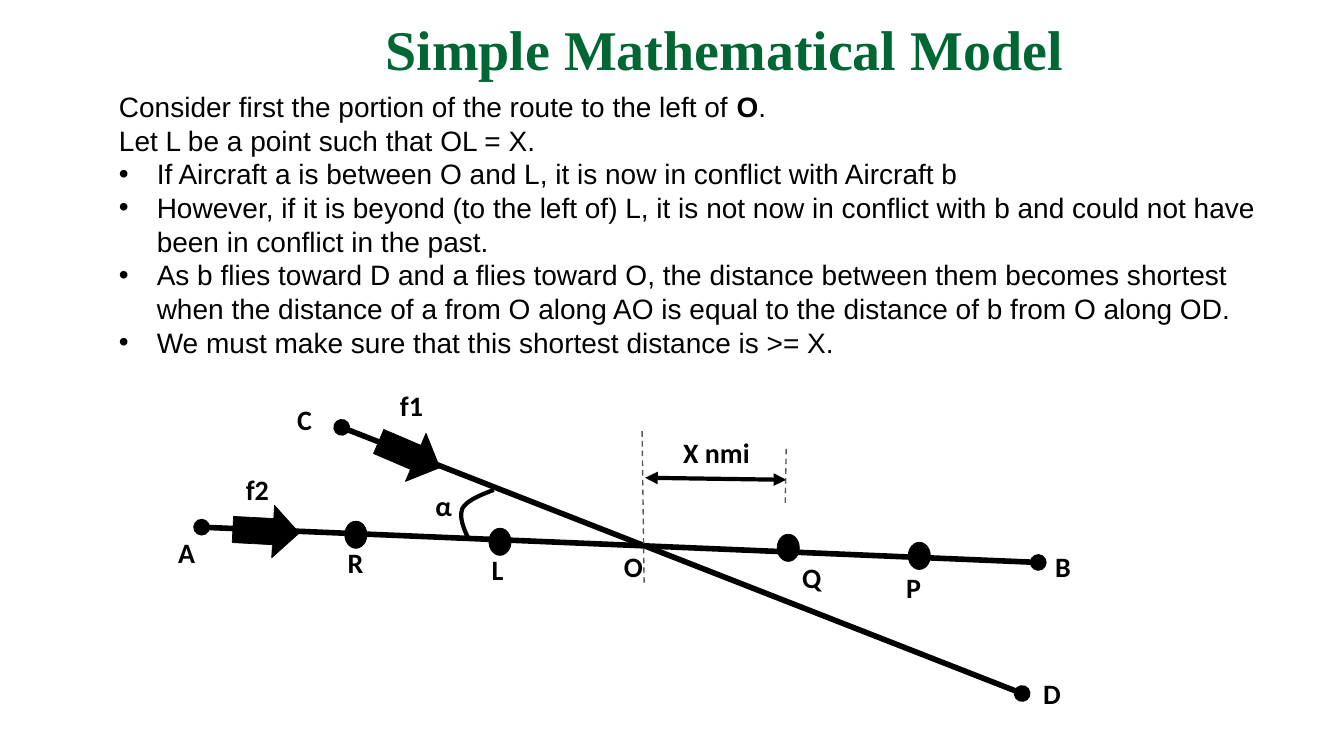
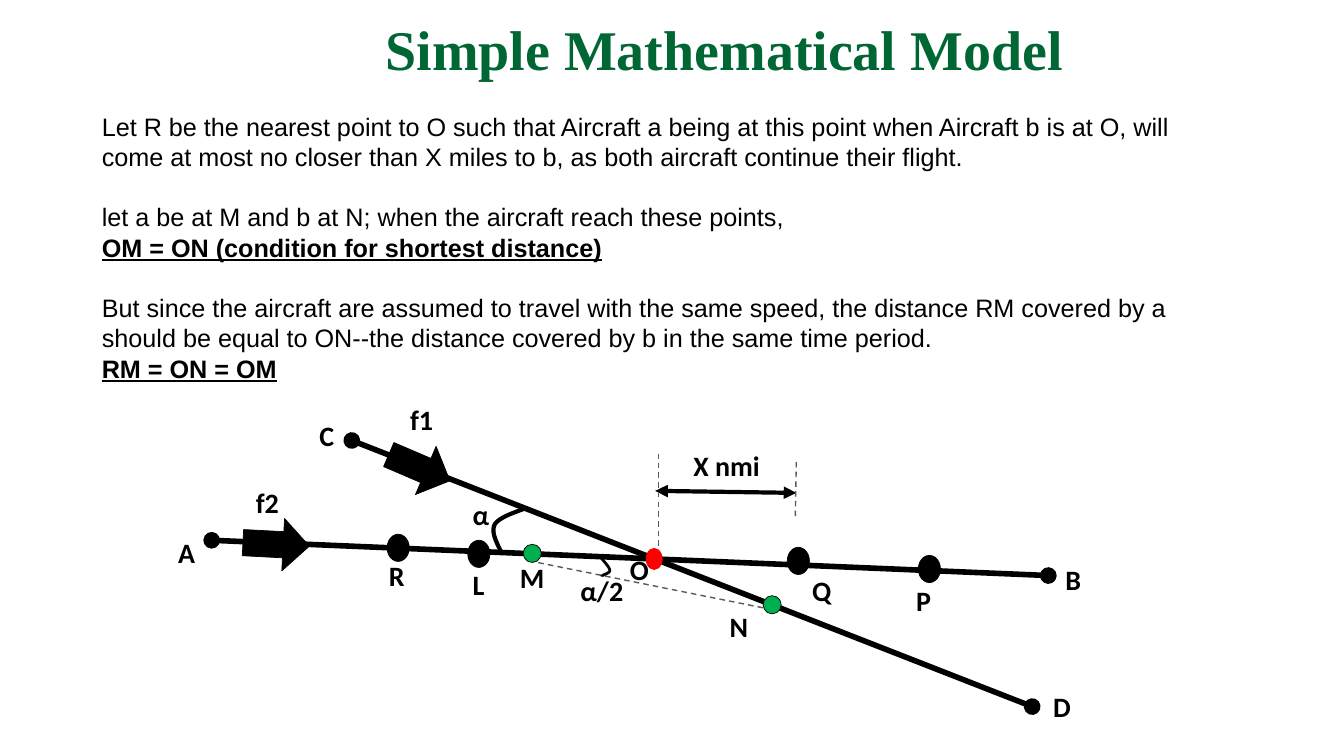
from dataclasses import dataclass
from typing import NamedTuple

from lxml.etree import SubElement
from pptx import Presentation
from pptx.dml.color import RGBColor
from pptx.enum.dml import MSO_LINE_DASH_STYLE as Dash
from pptx.enum.shapes import MSO_CONNECTOR as Connector, MSO_SHAPE as Shape
from pptx.enum.text import MSO_ANCHOR as Anchor, MSO_AUTO_SIZE as AutoSize, PP_ALIGN as Align
from pptx.oxml.ns import qn
from pptx.util import Inches, Pt

# Grid: every length is in cells of a tenth of an inch
CELL = Inches(0.1)
COLUMNS, ROWS = 133.33, 75

BLACK, GREY, TITLE_GREEN = "000000", "595959", "006633"
RED, POINT_GREEN = "FF0000", "00B050"
TITLE_FONT, BODY_FONT, LABEL_FONT = "Times New Roman", "Arial", "Calibri"


class Point(NamedTuple):
    x: float
    y: float


class Frame(NamedTuple):
    left: float
    top: float
    width: float
    height: float


class Label(NamedTuple):
    text: str
    left: float
    top: float
    width: float = 4.3


class Dot(NamedTuple):
    x: float
    y: float
    width: float = 2.2
    height: float = 2.7
    fill: str = BLACK
    line: str = BLACK


class Segment(NamedTuple):
    start: Point
    end: Point
    width: float = 1
    color: str = GREY
    ends: str = ""


class Curve(NamedTuple):
    points: list[Point]  # a start, then three points for each Bezier piece
    width: float = 3


class Arrow(NamedTuple):
    frame: Frame
    rotation: float


@dataclass
class Line:
    spans: tuple[str, ...]  # every second span is bold
    bullet: bool = False
    strong: bool = False
    gap: bool = False


@dataclass
class Page:
    body: Frame
    size: int
    lines: list[Line]
    shift: Point  # moves the shared part of the diagram
    dots: list[Dot]
    segments: list[Segment]
    curves: list[Curve]
    labels: list[Label]


TITLE = "Simple Mathematical Model"
TITLE_FRAME = Frame(29.6, 0.9, 84.5, 7.7)

# Shared part of the diagram
ROUTES = [
    Segment(Point(33.9, 42.4), Point(101.4, 68.8), 4, BLACK, "oval"),
    Segment(Point(20, 52.3), Point(103, 55.8), 4, BLACK, "oval"),
    Segment(Point(64, 47.4), Point(78, 47.6), 3, BLACK, "triangle"),
    Segment(Point(77.9, 49.9), Point(78, 44.3)),
]
ROUTE_DOTS = [Dot(78.2, 54.35), Dot(91.2, 55.15)]
FLIGHTS = [Arrow(Frame(38, 41.8, 5.2, 6.6), 293.2), Arrow(Frame(23.8, 49.4, 5.2, 6.6), 273)]
ROUTE_LABELS = [
    Label("X nmi", 66.8, 42.7, 9), Label("Q", 78.6, 55.1), Label("P", 88.9, 56.1),
    Label("B", 103.7, 54), Label("D", 102.5, 66.6),
    Label("f1", 38.7, 38.1), Label("f2", 23.4, 46.4),
]

PAGES = [
    Page(
        body=Frame(10.8, 8.4, 116.7, 27.9),
        size=20,
        lines=[
            Line(("Consider first the portion of the route to the left of ", "O", ".")),
            Line(("Let L be a point such that OL = X.",)),
            Line(("If Aircraft a is between O and L, it is now in conflict with Aircraft b",), bullet=True),
            Line(("However, if it is beyond (to the left of) L, it is not now in conflict with b "
                  "and could not have been in conflict in the past.",), bullet=True),
            Line(("As b flies toward D and a flies toward O, the distance between them becomes "
                  "shortest when the distance of a from O along AO is equal to the distance of b "
                  "from O along OD.",), bullet=True),
            Line(("We must make sure that this shortest distance is >= X.",), bullet=True),
        ],
        shift=Point(0, 0),
        dots=[Dot(35.3, 53.05), Dot(49.6, 53.75)],
        segments=[Segment(Point(63.9, 57.8), Point(63.7, 42.4))],
        curves=[Curve([Point(46.5, 53.5), Point(46, 52.4), Point(45.5, 51.3), Point(45.9, 50.4),
                       Point(46.4, 49.6), Point(47.7, 49.1), Point(49, 48.6)])],
        labels=[Label("C", 28.5, 39.4), Label("A", 16.7, 52.6), Label("R", 33.5, 53.6),
                Label("L", 47.8, 54.3), Label("O", 60.9, 54), Label("α", 42.2, 48)],
    ),
    Page(
        body=Frame(9.1, 10.5, 108.3, 28.3),
        size=18,
        lines=[
            Line(("Let R be the nearest point to O such that Aircraft a being at this point when "
                  "Aircraft b is at O, will come at most no closer than X miles to b, as both "
                  "aircraft continue their flight.",)),
            Line(("let a be at M and b at N; when the aircraft reach these points,",), gap=True),
            Line(("OM = ON (condition for shortest distance)",), strong=True),
            Line(("But since the aircraft are assumed to travel with the same speed, the distance "
                  "RM covered by a should be equal to ON--the distance covered by b in the same "
                  "time period.",), gap=True),
            Line(("RM = ON = OM",), strong=True),
        ],
        shift=Point(1, 1.3),
        dots=[Dot(39.5, 54.35), Dot(47.5, 54.95), Dot(64.9, 55.45, 1.6, 2.1, RED, RED),
              Dot(52.8, 54.9, 1.8, 1.8, POINT_GREEN), Dot(76.6, 60, 1.8, 1.8, POINT_GREEN)],
        segments=[Segment(Point(65.3, 56.1), Point(65.3, 45)),
                  Segment(Point(75.7, 60.3), Point(52.8, 55.7))],
        curves=[Curve([Point(49.7, 54.7), Point(49.2, 53.7), Point(48.7, 52.7), Point(49.1, 52),
                       Point(49.6, 51.3), Point(50.9, 50.9), Point(52.2, 50.4)]),
                Curve([Point(59.6, 55.3), Point(60, 55.8), Point(60.5, 56.3), Point(60.5, 56.6),
                       Point(60.5, 56.9), Point(59.7, 57), Point(59.7, 57.2)], 2)],
        labels=[Label("C", 30.7, 41), Label("A", 16.7, 52.6), Label("R", 37.6, 54.9),
                Label("L", 45.9, 55.8), Label("M", 50.6, 55.1), Label("O", 61.5, 54.3),
                Label("N", 71.4, 60), Label("α", 45.9, 48.9), Label("α/2", 56.6, 56.4, 8.9)],
    ),
]


def cells(count: float) -> int:
    return round(count * CELL)


def rgb(color: str) -> RGBColor:
    return RGBColor.from_string(color)


def set_font(font, name: str, size: float, color: str, bold: bool = False) -> None:
    font.name, font.size, font.bold = name, Pt(size), bold
    font.color.rgb = rgb(color)


def set_line(line, color: str, width: float) -> None:
    line.color.rgb = rgb(color)
    line.width = Pt(width)


def place(box, frame: Frame) -> None:
    box.left, box.top, box.width, box.height = map(cells, frame)


def add_title(slide) -> None:
    title = slide.shapes.title
    place(title, TITLE_FRAME)
    frame = title.text_frame
    frame.auto_size, frame.vertical_anchor = AutoSize.NONE, Anchor.TOP
    para = frame.paragraphs[0]
    para.text, para.alignment = TITLE, Align.CENTER
    set_font(para.font, TITLE_FONT, 40, TITLE_GREEN, True)


def add_body(slide, page: Page) -> None:
    body = slide.placeholders[1]
    place(body, page.body)
    frame = body.text_frame
    frame.auto_size, frame.vertical_anchor = AutoSize.NONE, Anchor.TOP
    pitch = Pt(1.2 * page.size)
    for index, line in enumerate(page.lines):
        para = frame.paragraphs[0] if index == 0 else frame.add_paragraph()
        properties = para._p.get_or_add_pPr()
        indent = cells(3.75) if line.bullet else 0
        properties.set("marL", str(indent))
        properties.set("indent", str(-indent))
        if line.bullet:
            SubElement(properties, qn("a:buChar")).set("char", "•")
        else:
            SubElement(properties, qn("a:buNone"))
        para.line_spacing = pitch
        para.space_before = pitch if line.gap else Pt(0)
        set_font(para.font, BODY_FONT, page.size, BLACK, line.strong)
        para.font.underline = line.strong
        for position, text in enumerate(line.spans):
            span = para.add_run()
            span.text = text
            if position % 2:
                span.font.bold = True


def add_segment(slide, segment: Segment, shift: Point) -> None:
    (x1, y1), (x2, y2) = segment.start, segment.end
    connector = slide.shapes.add_connector(
        Connector.STRAIGHT, cells(x1 + shift.x), cells(y1 + shift.y),
        cells(x2 + shift.x), cells(y2 + shift.y))
    set_line(connector.line, segment.color, segment.width)
    if segment.ends:
        outline = connector.line._get_or_add_ln()
        for tag in ("a:headEnd", "a:tailEnd"):
            SubElement(outline, qn(tag)).set("type", segment.ends)
    else:
        connector.line.dash_style = Dash.DASH
    SubElement(connector._element.spPr, qn("a:effectLst"))


def add_filled(slide, kind: Shape, frame: Frame, shift: Point, fill: str, line: str):
    shape = slide.shapes.add_shape(kind, cells(frame.left + shift.x), cells(frame.top + shift.y),
                                   cells(frame.width), cells(frame.height))
    shape.shadow.inherit = False
    shape.fill.solid()
    shape.fill.fore_color.rgb = rgb(fill)
    set_line(shape.line, line, 0.5)
    return shape


def add_dot(slide, dot: Dot, shift: Point) -> None:
    frame = Frame(dot.x - dot.width / 2, dot.y - dot.height / 2, dot.width, dot.height)
    add_filled(slide, Shape.OVAL, frame, shift, dot.fill, dot.line)


def add_curve(slide, curve: Curve, steps: int = 12) -> None:
    points = curve.points
    trace = []
    for first in range(0, len(points) - 1, 3):
        a, b, c, d = points[first:first + 4]
        for step in range(1, steps + 1):
            t = step / steps
            weights = ((1 - t) ** 3, 3 * t * (1 - t) ** 2, 3 * t * t * (1 - t), t ** 3)
            trace.append(tuple(
                cells(sum(weight * value for weight, value in zip(weights, axis)))
                for axis in zip(a, b, c, d)))
    builder = slide.shapes.build_freeform(cells(points[0].x), cells(points[0].y))
    builder.add_line_segments(trace, close=False)
    shape = builder.convert_to_shape()
    shape.shadow.inherit = False
    shape.fill.background()
    set_line(shape.line, BLACK, curve.width)


def add_label(slide, label: Label, shift: Point) -> None:
    box = slide.shapes.add_textbox(cells(label.left + shift.x), cells(label.top + shift.y),
                                   cells(label.width), cells(4.4))
    box.text_frame.word_wrap = True
    para = box.text_frame.paragraphs[0]
    para.text = label.text
    set_font(para.font, LABEL_FONT, 20, BLACK, True)


def add_diagram(slide, page: Page) -> None:
    fixed = Point(0, 0)
    # Routes and distances
    for segments, shift in ((ROUTES, page.shift), (page.segments, fixed)):
        for segment in segments:
            add_segment(slide, segment, shift)
    # Points, angles and flight arrows
    for dots, shift in ((ROUTE_DOTS, page.shift), (page.dots, fixed)):
        for dot in dots:
            add_dot(slide, dot, shift)
    for curve in page.curves:
        add_curve(slide, curve)
    for flight in FLIGHTS:
        arrow = add_filled(slide, Shape.DOWN_ARROW, flight.frame, page.shift, BLACK, BLACK)
        arrow.rotation = flight.rotation
    # Names
    for labels, shift in ((ROUTE_LABELS, page.shift), (page.labels, fixed)):
        for label in labels:
            add_label(slide, label, shift)


def main() -> None:
    deck = Presentation()
    deck.slide_width, deck.slide_height = cells(COLUMNS), cells(ROWS)
    for page in PAGES:
        slide = deck.slides.add_slide(deck.slide_layouts[1])
        add_title(slide)
        add_body(slide, page)
        add_diagram(slide, page)
    deck.save("out.pptx")


if __name__ == "__main__":
    main()
